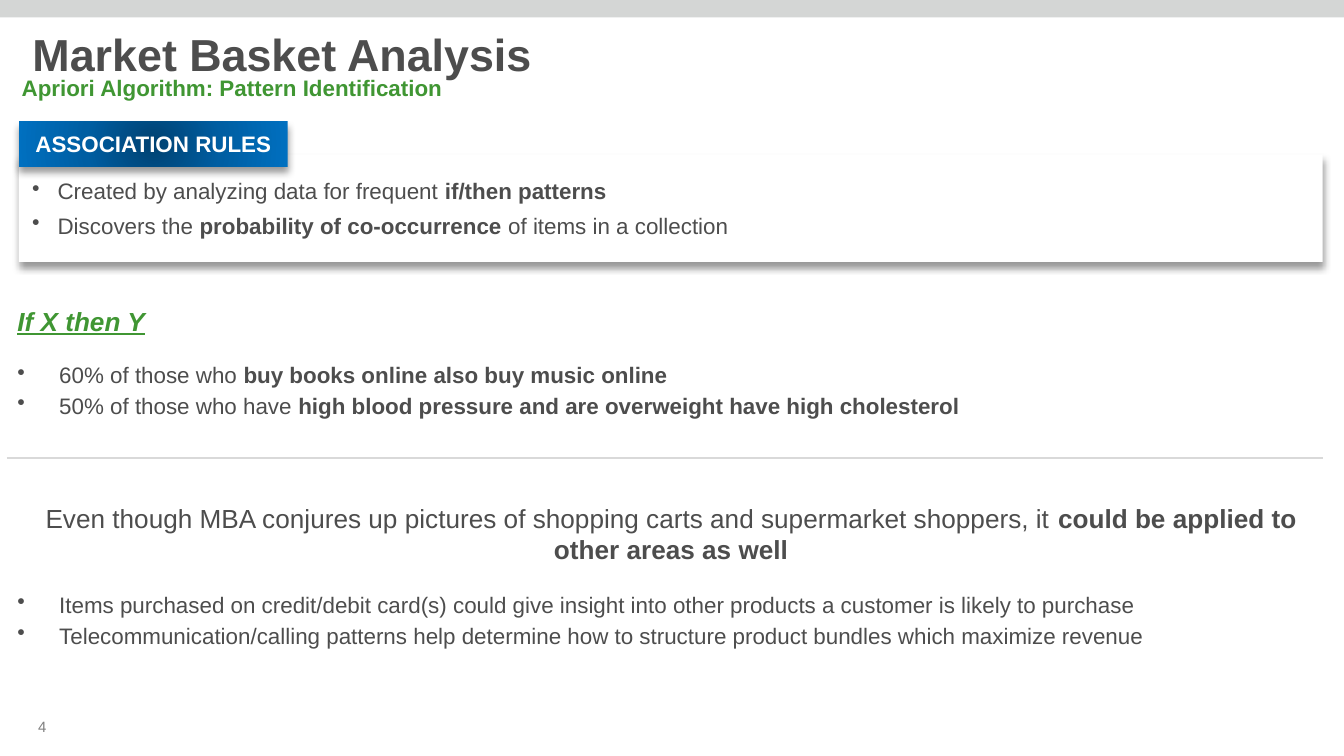
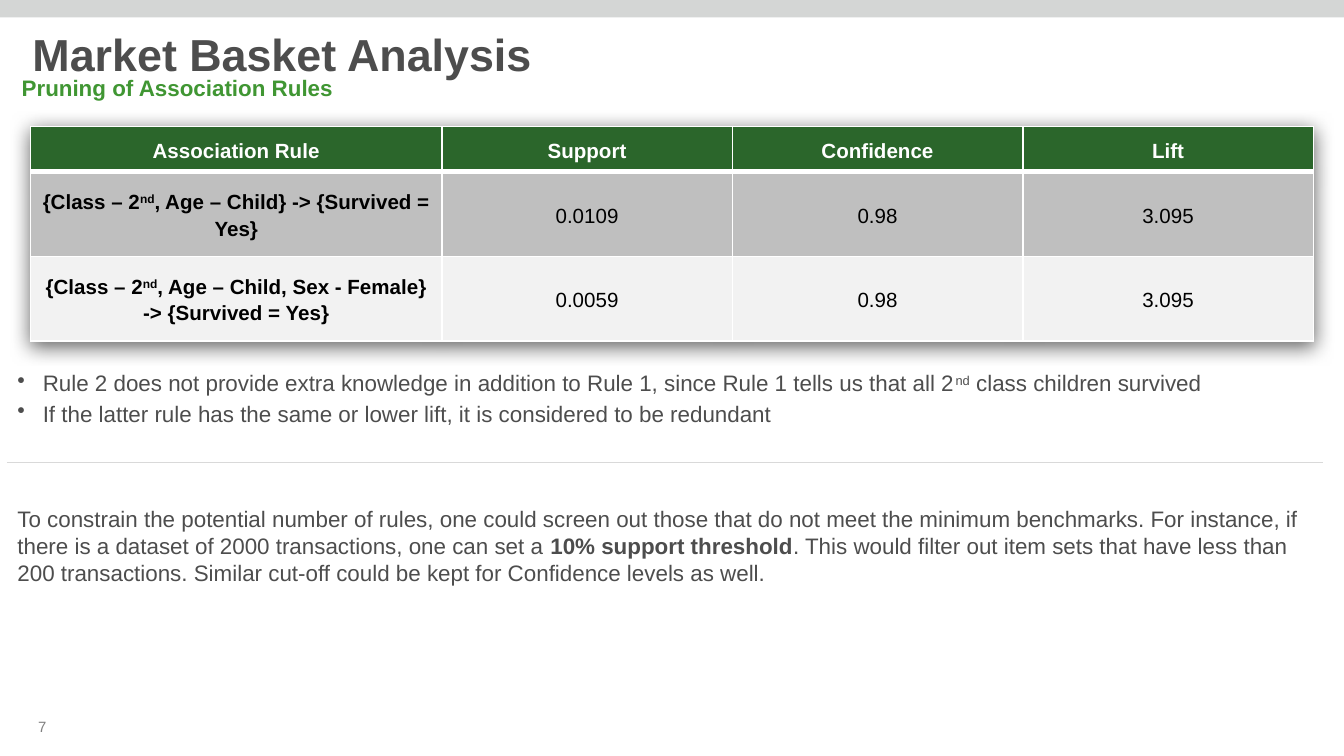
import pptx
import pptx.util
import pptx.dml.color
import pptx.enum.shapes
import pptx.enum.text
import pptx.oxml
import pptx.oxml.ns
from lxml import etree

Cm, Pt = pptx.util.Cm, pptx.util.Pt
RGBColor = pptx.dml.color.RGBColor
ALIGN = pptx.enum.text.PP_ALIGN
MIDDLE = pptx.enum.text.MSO_ANCHOR.MIDDLE
RECTANGLE = pptx.enum.shapes.MSO_SHAPE.RECTANGLE
qn = pptx.oxml.ns.qn

FONT = "Arial"
WHITE = RGBColor(0xFF, 0xFF, 0xFF)
BLACK = RGBColor(0x00, 0x00, 0x00)
INK = RGBColor(0x4D, 0x4D, 0x4D)
GREEN = RGBColor(0x40, 0x96, 0x33)
HEADER_GREEN = RGBColor(0x2B, 0x66, 0x2B)
BAND_GREY = RGBColor(0xD4, 0xD6, 0xD5)
NUMBER_GREY = RGBColor(0x80, 0x80, 0x80)
DIVIDER_GREY = RGBColor(0xD9, 0xD9, 0xD9)
ROW_FILLS = [HEADER_GREEN, RGBColor(0xBF, 0xBF, 0xBF), RGBColor(0xF2, 0xF2, 0xF2)]
TAG_STOPS = [(0, "004272"), (50, "005EA2"), (100, "0070C0")]


def write(frame, lines, size=12, color=INK, indent=0, before=2, spacing=None,
          align=ALIGN.LEFT, bold=False, emphasis=False):
    """One paragraph per line; *...* is bold, ^...^ is superscript."""
    for i, line in enumerate(lines):
        paragraph = frame.paragraphs[0] if i == 0 else frame.add_paragraph()
        paragraph.alignment = align
        paragraph.space_before = Pt(before)
        if spacing:
            paragraph.line_spacing = spacing
        if indent:
            properties = paragraph._p.get_or_add_pPr()
            properties.set("marL", str(Cm(indent)))
            properties.set("indent", str(-Cm(indent)))
            etree.SubElement(properties, qn("a:buChar")).set("char", "•")
        font = paragraph.font
        font.name, font.size, font.bold = FONT, Pt(size), bold
        font.color.rgb = color
        if emphasis:
            font.italic = font.underline = True
        for j, part in enumerate(line.split("*")):
            for k, piece in enumerate(part.split("^")):
                if piece:
                    run = paragraph.add_run()
                    run.text = piece
                    if j % 2:
                        run.font.bold = True
                    if k % 2:
                        run._r.get_or_add_rPr().set("baseline", "30000")


def add_shadow(effects, blur, distance, angle, opacity):
    shadow = etree.SubElement(effects, qn("a:outerShdw"), blurRad=str(Pt(blur)),
                              dist=str(Pt(distance)), dir=str(angle * 60000),
                              algn="ctr", rotWithShape="0")
    black = etree.SubElement(shadow, qn("a:srgbClr"), val="000000")
    etree.SubElement(black, qn("a:alpha"), val=str(opacity * 1000))


deck = pptx.Presentation()
deck.slide_width, deck.slide_height = Cm(25.4), Cm(14.29)

# Per slide: number, subtitle, divider height, text blocks (top, height, lines, style)
CONTENT = [
    ("4", "Apriori Algorithm: Pattern Identification", 8.66, [
        (5.64, 0.86, ["If X then Y"],
         dict(size=14, color=GREEN, bold=True, emphasis=True)),
        (6.71, 1.37, [
            "60% of those who *buy books online also buy music online*",
            "50% of those who have *high blood pressure and are overweight "
            "have high cholesterol*"], dict(indent=0.79)),
        (9.37, 1.47, [
            "Even though MBA conjures up pictures of shopping carts and supermarket "
            "shoppers, it *could be applied to other areas as well*"],
         dict(size=14, align=ALIGN.CENTER)),
        (11.05, 1.37, [
            "Items purchased on credit/debit card(s) could give insight into other "
            "products a customer is likely to purchase",
            "Telecommunication/calling patterns help determine how to structure "
            "product bundles which maximize revenue"], dict(indent=0.79)),
    ]),
    ("7", "Pruning of Association Rules", 8.74, [
        (6.86, 1.37, [
            "Rule 2 does not provide extra knowledge in addition to Rule 1, since "
            "Rule 1 tells us that all 2^nd^ class children survived",
            "If the latter rule has the same or lower lift, it is considered to be "
            "redundant"], dict(indent=0.48)),
        (9.42, 1.8, [
            "To constrain the potential number of rules, one could screen out those "
            "that do not meet the minimum benchmarks. For instance, if there is a "
            "dataset of 2000 transactions, one can set a *10% support threshold*. "
            "This would filter out item sets that have less than 200 transactions. "
            "Similar cut-off could be kept for Confidence levels as well."], {}),
    ]),
]

slides = []
for number, subtitle, divider_top, blocks in CONTENT:
    slide = deck.slides.add_slide(deck.slide_layouts[5])
    slides.append(slide)

    # Band across the top
    band = slide.shapes.add_shape(RECTANGLE, 0, 0, deck.slide_width, Cm(0.33))
    band.shadow.inherit = False
    band.fill.solid()
    band.fill.fore_color.rgb = BAND_GREY
    band.line.fill.background()

    # Title
    title = slide.shapes.title
    title.left, title.top, title.width, title.height = Cm(0.36), Cm(0.33), Cm(23.67), Cm(1.32)
    title.text_frame.auto_size = pptx.enum.text.MSO_AUTO_SIZE.NONE
    title.text_frame.vertical_anchor = MIDDLE
    write(title.text_frame, ["Market Basket Analysis"], size=24, before=0,
          spacing=Pt(30), bold=True)

    # Subtitle, text blocks and slide number
    texts = [(0.13, 1.27, 25.27, 0.79, [subtitle], dict(color=GREEN, bold=True))]
    texts += [(0.05, top, 25.27, height, lines, style) for top, height, lines, style in blocks]
    texts.append((0, 13.44, 1.6, 0.79, [number],
                  dict(size=8, color=NUMBER_GREY, before=0, align=ALIGN.CENTER)))
    for left, top, width, height, lines, style in texts:
        frame = slide.shapes.add_textbox(Cm(left), Cm(top), Cm(width), Cm(height)).text_frame
        frame.word_wrap = True
        frame.margin_left = frame.margin_right = Cm(0.28)
        write(frame, lines, **style)

    # Divider
    divider = slide.shapes.add_connector(pptx.enum.shapes.MSO_CONNECTOR.STRAIGHT,
                                         Cm(0.13), Cm(divider_top), Cm(25), Cm(divider_top))
    divider.line.color.rgb = DIVIDER_GREY
    divider.line.width = Pt(0.75)
    etree.SubElement(divider._element.spPr, qn("a:effectLst"))

rules_slide, pruning_slide = slides

# Association rules: card with its tag
card = rules_slide.shapes.add_shape(RECTANGLE, Cm(0.36), Cm(2.92), Cm(24.64), Cm(2.03))
tag = rules_slide.shapes.add_shape(RECTANGLE, Cm(0.36), Cm(2.29), Cm(5.08), Cm(0.86))
for panel in (card, tag):
    panel.fill.solid()
    panel.fill.fore_color.rgb = WHITE
    panel.line.fill.background()
    panel.shadow.inherit = False
    add_shadow(panel._element.spPr.find(qn("a:effectLst")), 4, 3, 90, 40)
    panel.text_frame.word_wrap = True
    panel.text_frame.vertical_anchor = MIDDLE
write(card.text_frame, ["Created by analyzing data for frequent *if/then patterns*",
                        "Discovers the *probability of co-occurrence* of items in a collection"],
      indent=0.48, before=4)
write(tag.text_frame, ["ASSOCIATION RULES"], color=WHITE, before=0,
      align=ALIGN.CENTER, bold=True)

# Radial gradient of the tag
gradient = etree.Element(qn("a:gradFill"), rotWithShape="1")
stops = etree.SubElement(gradient, qn("a:gsLst"))
for position, color in TAG_STOPS:
    stop = etree.SubElement(stops, qn("a:gs"), pos=str(position * 1000))
    etree.SubElement(stop, qn("a:srgbClr"), val=color)
circle = etree.SubElement(gradient, qn("a:path"))
circle.set("path", "circle")
etree.SubElement(circle, qn("a:fillToRect"), l="50000", t="50000", r="50000", b="50000")
tag_properties = tag._element.spPr
tag_properties.replace(tag_properties.find(qn("a:solidFill")), gradient)

# Pruning: table of rules
RULES = [
    ["Association Rule", "Support", "Confidence", "Lift"],
    ["{Class – 2^nd^, Age – Child} -> {Survived = Yes}", "0.0109", "0.98", "3.095"],
    ["{Class – 2^nd^, Age – Child, Sex - Female} -> {Survived = Yes}",
     "0.0059", "0.98", "3.095"],
]
COLUMN_WIDTHS = [7.77, 5.49, 5.49, 5.49]
ROW_HEIGHTS = [0.86, 1.6, 1.6]
rules = pruning_slide.shapes.add_table(3, 4, Cm(0.58), Cm(2.39), Cm(sum(COLUMN_WIDTHS)),
                                       Cm(sum(ROW_HEIGHTS))).table
for column, width in zip(rules.columns, COLUMN_WIDTHS):
    column.width = Cm(width)
for row, height in zip(rules.rows, ROW_HEIGHTS):
    row.height = Cm(height)
for r, values in enumerate(RULES):
    for c, value in enumerate(values):
        cell = rules.cell(r, c)
        cell.fill.solid()
        cell.fill.fore_color.rgb = ROW_FILLS[r]
        cell.vertical_anchor = MIDDLE
        cell.margin_left = cell.margin_right = Cm(0.18)
        cell.margin_top = cell.margin_bottom = 0
        write(cell.text_frame, [value], size=11, color=BLACK if r else WHITE, before=0,
              spacing=1.15, align=ALIGN.CENTER, bold=r == 0 or c == 0)
        cell_properties = cell._tc.get_or_add_tcPr()
        for i, side in enumerate("LRTB"):
            under_header = (r, side) in [(0, "B"), (1, "T")]
            border = etree.Element(qn("a:ln" + side), w=str(Pt(3 if under_header else 1)))
            paint = etree.SubElement(border, qn("a:solidFill"))
            etree.SubElement(paint, qn("a:srgbClr"), val=str(WHITE))
            cell_properties.insert(i, border)

# Soft shadow around the table
table_effects = etree.Element(qn("a:effectLst"))
rules._tbl.tblPr.insert(0, table_effects)
add_shadow(table_effects, 10, 2, 90, 60)

deck.save("out.pptx")
